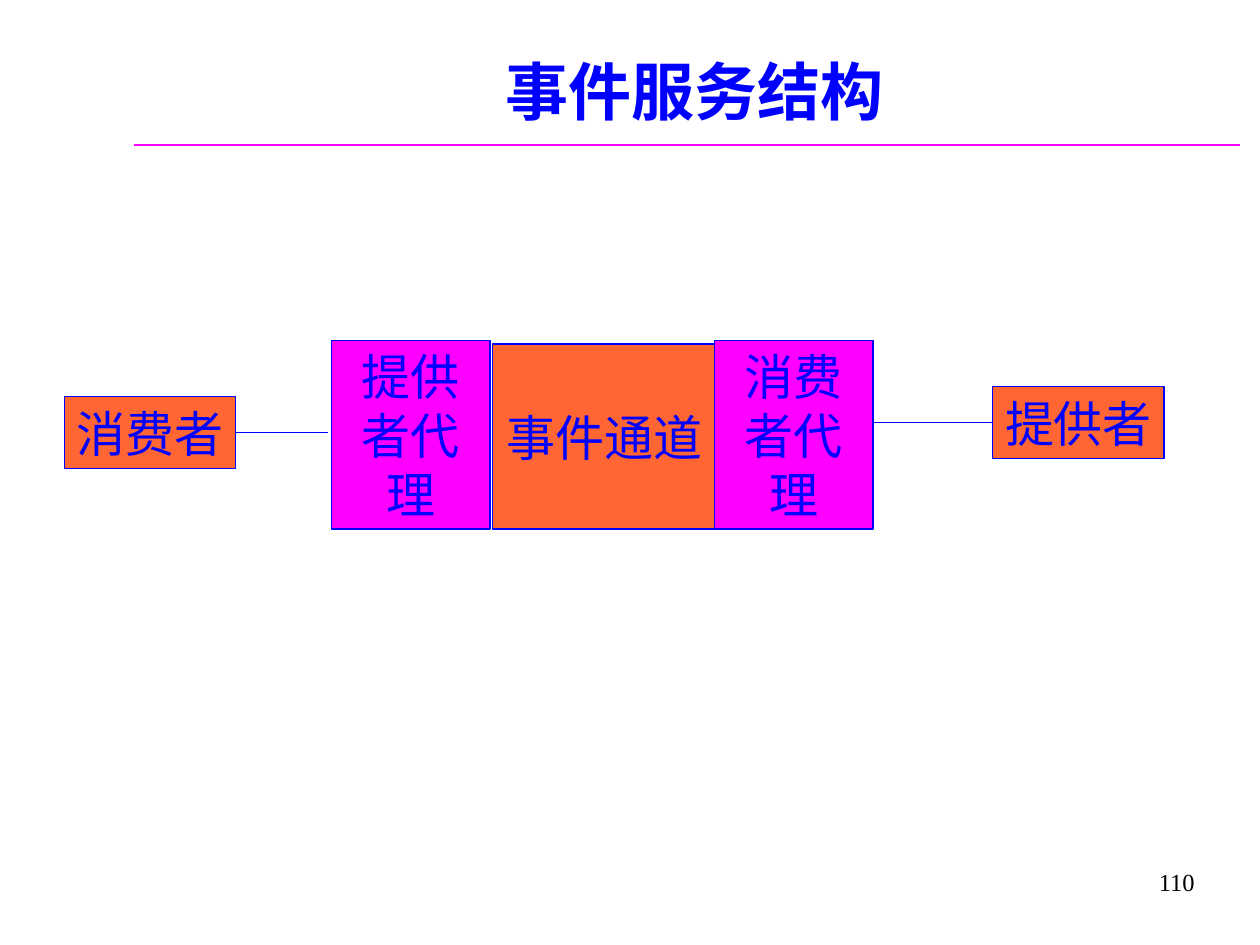
from pptx import Presentation
from pptx.dml.color import RGBColor
from pptx.enum import shapes, text
from pptx.oxml import ns
from pptx.util import Inches, Pt
from lxml import etree

THEME = {
    "blue": "0000FF", "orange": "FF6633", "pink": "FF00FF", "black": "000000",
    "latin": "Times New Roman", "cjk": "Noto Sans CJK SC",
    "title": 36, "label": 28, "number": 14, "rule": 1.5, "edge": 0.75,
}

TITLE = ("事件服务结构", (1.22, 0.13, 8.59, 0.94))
NUMBER = ("110", (7.5, 6.75, 2.08, 0.5))
RULE = ((1.06, 1.15), (9.84, 1.15))

# name: (label, colour, (left, top, width, height), wraps)
BOXES = {
    "channel": ("事件通道", "orange", (3.91, 2.73, 1.77, 1.47), False),
    "consumer": ("消费者", "orange", (0.51, 3.15, 1.36, 0.57), False),
    "supplier": ("提供者", "orange", (7.88, 3.07, 1.36, 0.57), False),
    "supplier proxy": ("提供者代理", "pink", (2.63, 2.7, 1.26, 1.5), True),
    "consumer proxy": ("消费者代理", "pink", (5.67, 2.7, 1.26, 1.5), True),
}
# box, side it leaves from (1 left, 3 right), x where the link ends
LINKS = [("consumer", 3, 2.6), ("supplier", 1, 6.92)]


def color(name):
    return RGBColor.from_string(THEME[name])


def write(shape, words, size, ink, align, anchor, wrap, face="latin", bold=False):
    frame = shape.text_frame
    frame.word_wrap = wrap
    frame.vertical_anchor = anchor
    para = frame.paragraphs[0]
    para.alignment = align
    run = para.add_run()
    run.text = words
    font = run.font
    font.name, font.size, font.bold = THEME[face], Pt(THEME[size]), bold
    font.color.rgb = color(ink)
    east = etree.SubElement(run._r.get_or_add_rPr(), ns.qn("a:ea"))
    east.set("typeface", THEME["cjk"])


def draw_line(slide, start, end, ink, width):
    line = slide.shapes.add_connector(
        shapes.MSO_CONNECTOR.STRAIGHT, *map(Inches, start + end))
    line.line.color.rgb = color(ink)
    line.line.width = Pt(THEME[width])
    etree.SubElement(line._element.spPr, ns.qn("a:effectLst"))
    return line


def draw_box(slide, label, fill, place, wrap):
    box = slide.shapes.add_shape(
        shapes.MSO_SHAPE.RECTANGLE, *map(Inches, place))
    box.shadow.inherit = False
    box.fill.solid()
    box.fill.fore_color.rgb = color(fill)
    box.line.color.rgb = color("blue")
    box.line.width = Pt(THEME["edge"])
    write(box, label, "label", "blue", text.PP_ALIGN.CENTER,
          text.MSO_ANCHOR.MIDDLE, wrap)
    return box


def main():
    deck = Presentation()
    deck.slide_width, deck.slide_height = Inches(10), Inches(7.5)
    slide = deck.slides.add_slide(deck.slide_layouts[5])

    draw_line(slide, *RULE, "pink", "rule")
    words, place = TITLE
    title = slide.shapes.title
    title.left, title.top, title.width, title.height = map(Inches, place)
    write(title, words, "title", "blue", text.PP_ALIGN.CENTER,
          text.MSO_ANCHOR.BOTTOM, True, "cjk", True)

    words, place = NUMBER
    number = slide.shapes.add_textbox(*map(Inches, place))
    write(number, words, "number", "black", text.PP_ALIGN.RIGHT,
          text.MSO_ANCHOR.MIDDLE, True)

    drawn = {name: draw_box(slide, *box) for name, box in BOXES.items()}
    for name, side, end in LINKS:
        left, top, width, height = BOXES[name][2]
        start = left + width if side == 3 else left
        mid = top + height / 2
        link = draw_line(slide, (start, mid), (end, mid), "blue", "edge")
        link.begin_connect(drawn[name], side)

    deck.save("out.pptx")


if __name__ == "__main__":
    main()
